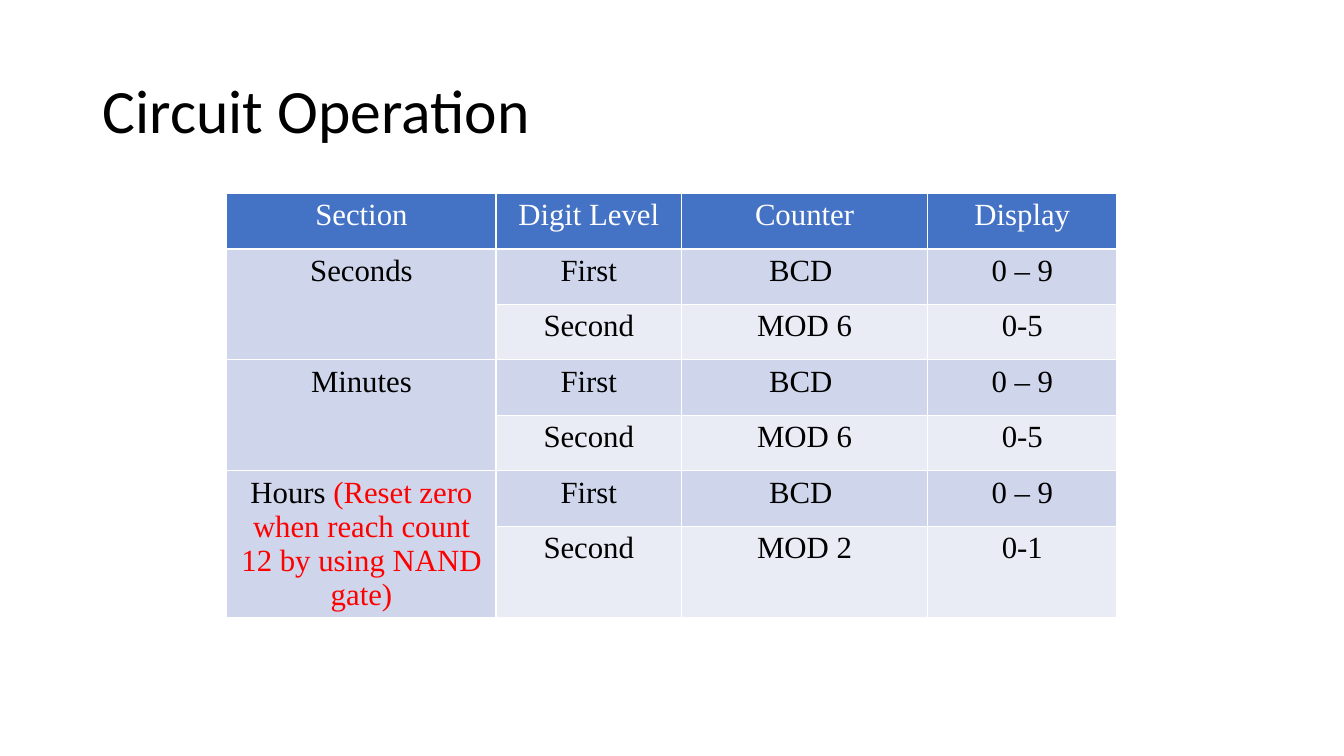
import pptx
import pptx.dml.color
import pptx.enum.text
import pptx.util
from dataclasses import dataclass
from lxml import etree

Inches = pptx.util.Inches
Align = pptx.enum.text.PP_ALIGN
Anchor = pptx.enum.text.MSO_ANCHOR
NS = "http://schemas.openxmlformats.org/drawingml/2006/main"


@dataclass(frozen=True)
class Theme:
    head: str = "4472C4"
    dark: str = "CFD5EA"
    light: str = "E9EBF5"
    white: str = "FFFFFF"
    black: str = "000000"
    red: str = "FF0000"
    title_font: str = "Calibri"
    cell_font: str = "Times New Roman"
    title_size: int = 44
    cell_size: int = 22


THEME = Theme()
HEADS = ["Section", "Digit Level", "Counter", "Display"]
SECTIONS = [
    ("Seconds", "", "MOD 6", "0-5"),
    ("Minutes", "", "MOD 6", "0-5"),
    ("Hours ", "(Reset zero when reach count 12 by using NAND gate)", "MOD 2", "0-1"),
]
WIDTHS = [2.67, 1.84, 2.44, 1.88]
ROW = 0.55


def style(run, font, size, color):
    run.font.name = font
    run.font.size = pptx.util.Pt(size)
    run.font.bold = False
    run.font.color.rgb = pptx.dml.color.RGBColor.from_string(color)


def edge(cell, color):
    """Draw a 1 pt line on all four sides of the cell."""
    props = cell._tc.get_or_add_tcPr()
    for tag in ("lnL", "lnR", "lnT", "lnB"):
        line = etree.SubElement(props, f"{{{NS}}}{tag}", w=str(pptx.util.Pt(1)))
        fill = etree.SubElement(line, f"{{{NS}}}solidFill")
        etree.SubElement(fill, f"{{{NS}}}srgbClr", val=color)


def fill_cell(cell, parts, back):
    """Write (text, colour) parts into a cell on the given fill."""
    edge(cell, THEME.white)
    cell.fill.solid()
    cell.fill.fore_color.rgb = pptx.dml.color.RGBColor.from_string(back)
    para = cell.text_frame.paragraphs[0]
    para.alignment = Align.CENTER
    for text, color in parts:
        run = para.add_run()
        run.text = text
        style(run, THEME.cell_font, THEME.cell_size, color)


def add_title(slide, left, top, width, height):
    title = slide.shapes.title
    title.left, title.top = Inches(left), Inches(top)
    title.width, title.height = Inches(width), Inches(height)
    frame = title.text_frame
    frame.text = "Circuit Operation"
    frame.word_wrap = True
    frame.vertical_anchor = Anchor.MIDDLE
    para = frame.paragraphs[0]
    para.alignment = Align.LEFT
    para.line_spacing = 0.9
    style(para.runs[0], THEME.title_font, THEME.title_size, THEME.black)


def add_counts(slide, left, top):
    """Place the counter table: a header, then two rows per section."""
    count = 1 + 2 * len(SECTIONS)
    table = slide.shapes.add_table(
        count, len(HEADS), Inches(left), Inches(top),
        Inches(sum(WIDTHS)), Inches(ROW * count)).table
    for col, width in zip(table.columns, WIDTHS):
        col.width = Inches(width)
    for row in table.rows:
        row.height = Inches(ROW)

    for col, head in enumerate(HEADS):
        fill_cell(table.cell(0, col), [(head, THEME.white)], THEME.head)
    for index, (name, note, mod, span) in enumerate(SECTIONS):
        first = 1 + 2 * index
        label = [(name, THEME.black)]
        if note:
            label.append((note, THEME.red))
        fill_cell(table.cell(first, 0), label, THEME.dark)
        fill_cell(table.cell(first + 1, 0), [], THEME.dark)
        table.cell(first, 0).merge(table.cell(first + 1, 0))
        digits = [(("First", "BCD ", "0 – 9"), THEME.dark),
                  (("Second", mod, span), THEME.light)]
        for row, (texts, back) in enumerate(digits, first):
            for col, text in enumerate(texts, 1):
                fill_cell(table.cell(row, col), [(text, THEME.black)], back)


def main():
    deck = pptx.Presentation()
    deck.slide_width, deck.slide_height = Inches(13.33), Inches(7.5)
    slide = deck.slides.add_slide(deck.slide_layouts[5])
    add_title(slide, 0.92, 0.4, 11.5, 1.45)
    add_counts(slide, 2.25, 1.92)
    deck.save("out.pptx")


if __name__ == "__main__":
    main()
